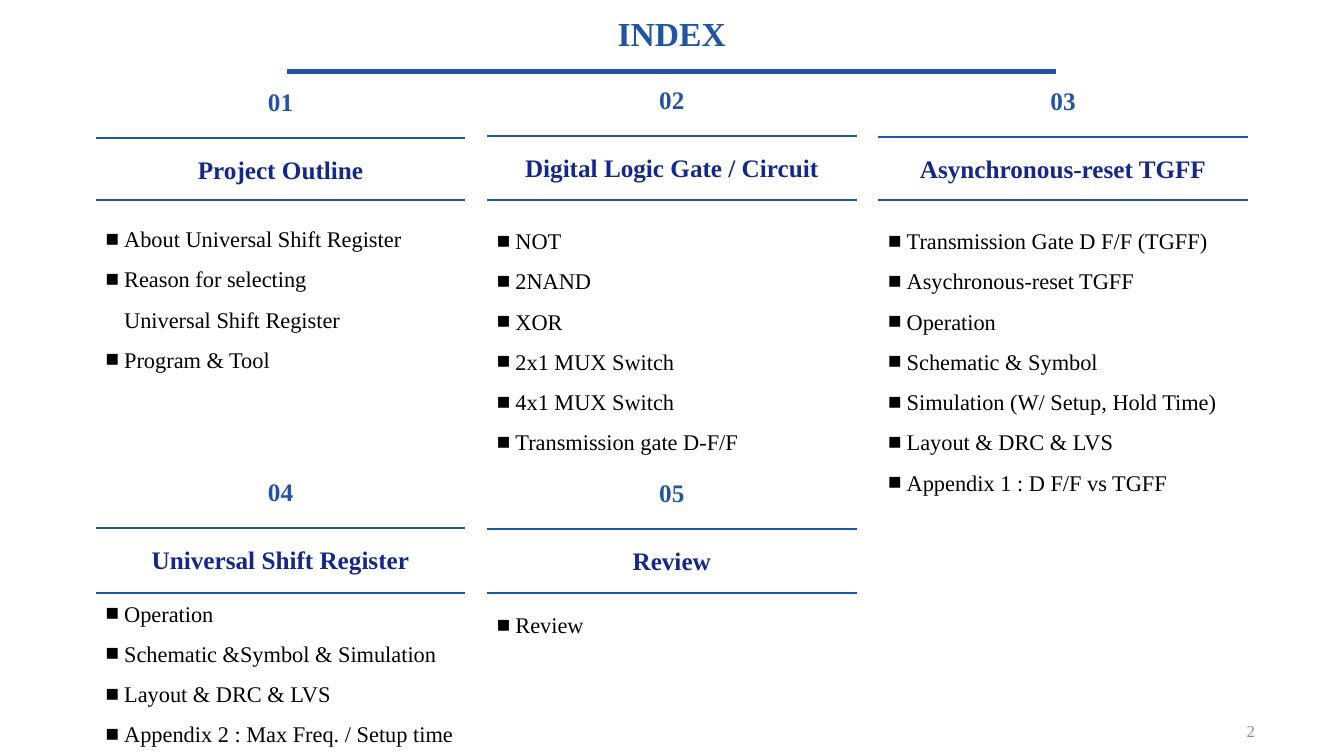
from dataclasses import dataclass

from lxml.etree import SubElement
from pptx import Presentation
from pptx.dml.color import RGBColor
from pptx.enum.shapes import MSO_CONNECTOR
from pptx.enum.text import MSO_ANCHOR, MSO_AUTO_SIZE, PP_ALIGN
from pptx.oxml.ns import qn
from pptx.util import Cm, Pt


@dataclass(frozen=True)
class Theme:
    font: str = "Times New Roman"
    blue: str = "2155A4"
    navy: str = "14288C"
    black: str = "000000"
    gray: str = "8C8C8C"
    title_size: int = 24
    heading_size: int = 18
    topic_size: int = 16
    page_size: int = 12
    title_rule: float = 3
    card_rule: float = 1.5


@dataclass(frozen=True)
class Card:
    number: str
    heading: str
    topics: tuple
    column: int
    top: float
    lower_rule: float
    topics_top: float
    topics_width: float = 9.32


THEME = Theme()

# Card grid, in centimetres
GRID_LEFT, COLUMN_PITCH, CARD_WIDTH = 2.41, 9.86, 9.32
UPPER_RULE, HEADING_TOP, LINE_BOX = 1.42, 1.7, 1.02
TOPIC_PITCH, BULLET_INDENT = 1.02, 0.47
ROW_RULES = (5.05, 14.94)

CARDS = (
    Card("01", "Project Outline",
         ("About Universal Shift Register",
          "Reason for selecting\vUniversal Shift Register",
          "Program & Tool"),
         0, 2.06, ROW_RULES[0], 5.21),
    Card("02", "Digital Logic Gate / Circuit",
         ("NOT", "2NAND", "XOR", "2x1 MUX Switch", "4x1 MUX Switch",
          "Transmission gate D-F/F"),
         1, 2.01, ROW_RULES[0], 5.26),
    Card("03", "Asynchronous-reset TGFF",
         ("Transmission Gate D F/F (TGFF)", "Asychronous-reset TGFF",
          "Operation", "Schematic & Symbol",
          "Simulation (W/ Setup, Hold Time)", "Layout & DRC & LVS",
          "Appendix 1 : D F/F vs TGFF"),
         2, 2.03, ROW_RULES[0], 5.26),
    Card("04", "Universal Shift Register",
         ("Operation", "Schematic &Symbol & Simulation",
          "Layout & DRC & LVS", "Appendix 2 : Max Freq. / Setup time"),
         0, 11.89, ROW_RULES[1], 14.65, 9.63),
    Card("05", "Review", ("Review",),
         1, 11.91, ROW_RULES[1], 14.94),
)


def add_bullet(paragraph):
    properties = paragraph._p.get_or_add_pPr()
    properties.set("marL", str(Cm(BULLET_INDENT)))
    properties.set("indent", str(-Cm(BULLET_INDENT)))
    SubElement(properties, qn("a:buFont"), typeface=THEME.font)
    SubElement(properties, qn("a:buChar"), char="■")


def write(frame, lines, *, size, color, bold=False, align=PP_ALIGN.CENTER,
          anchor=MSO_ANCHOR.TOP, spacing=1.0, bulleted=False):
    frame.word_wrap = True
    frame.auto_size = MSO_AUTO_SIZE.NONE
    frame.vertical_anchor = anchor
    for index, line in enumerate(lines):
        paragraph = frame.add_paragraph() if index else frame.paragraphs[0]
        paragraph.text = line
        paragraph.alignment = align
        paragraph.line_spacing = spacing
        paragraph.space_before = Pt(0)
        if bulleted:
            add_bullet(paragraph)
        for run in paragraph.runs:
            run.font.name = THEME.font
            run.font.size = Pt(size)
            run.font.bold = bold
            run.font.color.rgb = RGBColor.from_string(color)


def add_text(slide, left, top, width, height, lines, **text_format):
    box = slide.shapes.add_textbox(Cm(left), Cm(top), Cm(width), Cm(height))
    write(box.text_frame, lines, **text_format)


def add_rule(slide, left, top, width, weight):
    rule = slide.shapes.add_connector(
        MSO_CONNECTOR.STRAIGHT, Cm(left), Cm(top), Cm(left + width), Cm(top))
    rule.line.color.rgb = RGBColor.from_string(THEME.blue)
    rule.line.width = Pt(weight)
    SubElement(rule._element.spPr, qn("a:effectLst"))


def add_header(slide, left, top, width, height):
    title = slide.shapes.title
    title.left, title.top = Cm(left), Cm(top)
    title.width, title.height = Cm(width), Cm(height)
    write(title.text_frame, ["INDEX"], size=THEME.title_size,
          color=THEME.blue, bold=True)
    add_rule(slide, left, top + 1.6, width, THEME.title_rule)


def add_card(slide, card, left, top, width):
    # Number and heading, each above a rule
    heading_format = dict(size=THEME.heading_size, bold=True)
    add_text(slide, left, top, width, LINE_BOX, [card.number],
             color=THEME.blue, **heading_format)
    add_text(slide, left, top + HEADING_TOP, width, LINE_BOX, [card.heading],
             color=THEME.navy, **heading_format)
    for rule_top in (top + UPPER_RULE, card.lower_rule):
        add_rule(slide, left, rule_top, width, THEME.card_rule)

    # Topics
    line_count = sum(1 + topic.count("\v") for topic in card.topics)
    add_text(slide, left, card.topics_top, card.topics_width,
             line_count * TOPIC_PITCH + 0.15, card.topics,
             size=THEME.topic_size, color=THEME.black, align=PP_ALIGN.LEFT,
             spacing=1.5, bulleted=True)


def add_page_number(slide, left, top, width, height):
    add_text(slide, left, top, width, height, ["2"], size=THEME.page_size,
             color=THEME.gray, align=PP_ALIGN.RIGHT, anchor=MSO_ANCHOR.MIDDLE)


def main():
    deck = Presentation()
    deck.slide_width, deck.slide_height = Cm(33.87), Cm(19.05)
    slide = deck.slides.add_slide(deck.slide_layouts.get_by_name("Title Only"))

    add_header(slide, 7.24, 0.2, 19.38, 1.27)
    for card in CARDS:
        add_card(slide, card, GRID_LEFT + card.column * COLUMN_PITCH,
                 card.top, CARD_WIDTH)
    add_page_number(slide, 24.26, 17.91, 7.62, 1.02)

    deck.save("out.pptx")


if __name__ == "__main__":
    main()
